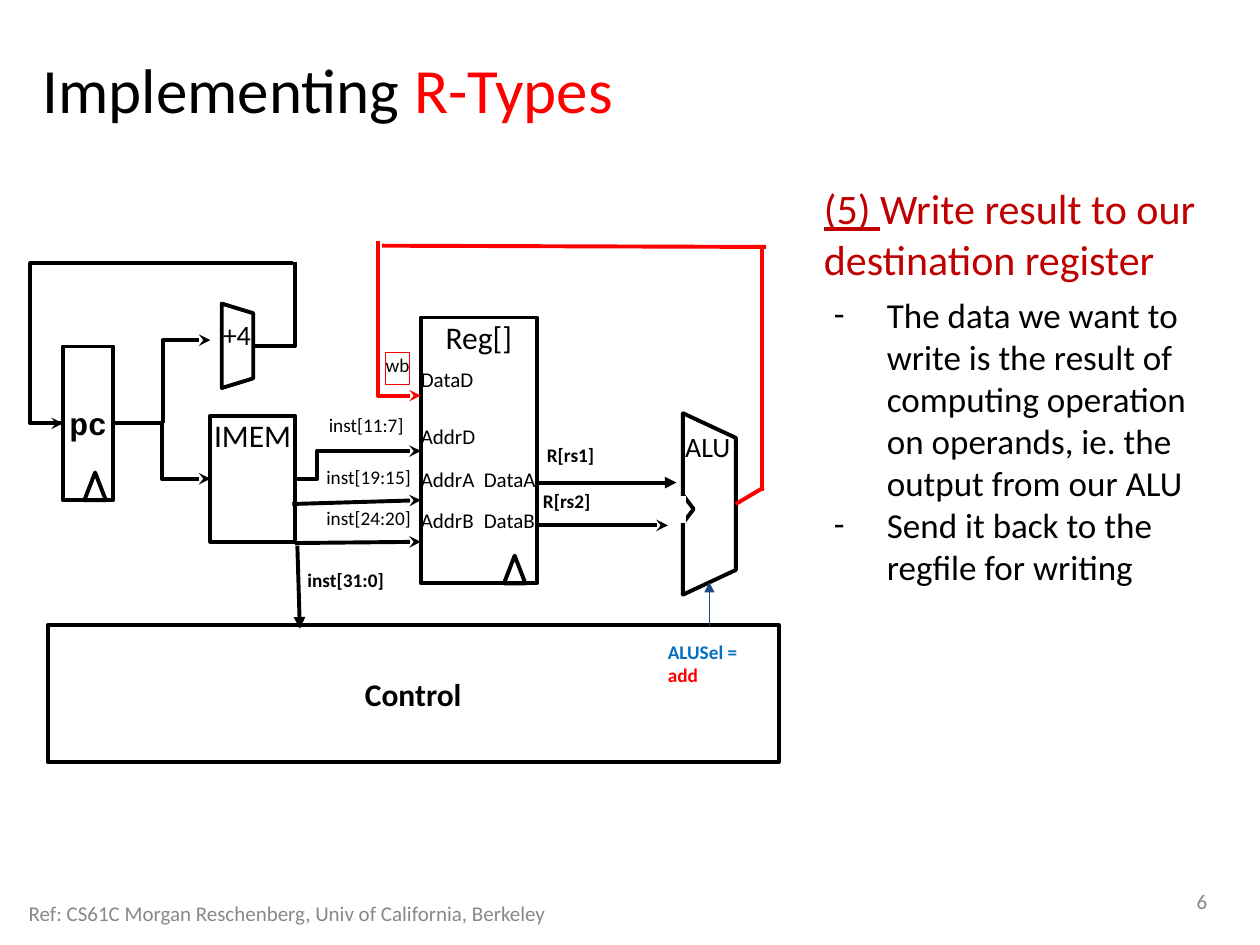
from lxml import etree
from pptx import Presentation
from pptx.dml.color import RGBColor
from pptx.enum.shapes import MSO_CONNECTOR, MSO_SHAPE
from pptx.enum.text import MSO_ANCHOR, PP_ALIGN
from pptx.oxml.ns import qn
from pptx.util import Inches, Pt

RECT, TRAP, TRI = MSO_SHAPE.RECTANGLE, MSO_SHAPE.TRAPEZOID, MSO_SHAPE.ISOSCELES_TRIANGLE
LINE, ELBOW = MSO_CONNECTOR.STRAIGHT, MSO_CONNECTOR.ELBOW
TOP, MID = MSO_ANCHOR.TOP, MSO_ANCHOR.MIDDLE
LEFT, CENTER, RIGHT = PP_ALIGN.LEFT, PP_ALIGN.CENTER, PP_ALIGN.RIGHT

THEME = {
    "font": "Calibri", "mono": "Courier New",
    "ink": "000000", "paper": "FFFFFF", "red": "FF0000", "deep": "C00000",
    "blue": "0070C0", "navy": "1F497D", "gray": "888888",
    "title": 36, "lead": 24, "body": 20, "name": 18, "unit": 16,
    "port": 12, "note": 11, "thick": 2.25, "thin": 0.75,
}
PAD, FLUSH = (0.1, 0.05, 0.1, 0.05), (0, 0, 0, 0)

# Runs are (text, size, colour, extra font values).
TITLE = [("Implementing ", "title", "ink", {}), ("R-Types", "title", "red", {})]
LEAD = [("(5) ", "lead", "deep", {"underline": True}),
        ("Write result to our destination register", "lead", "deep", {})]
STEPS = [
    "The data we want to write is the result of computing operation on operands, "
    "ie. the output from our ALU",
    "Send it back to the regfile for writing",
]

# Shapes are (kind, box, format); texts are (text, box, size, format).
CLOCK = (0.17, 0.22)
PORT = (0.48, 0.27)
UNITS = {
    "IMEM": {"shapes": [(RECT, (1.67, 3.3, 0.67, 1),
                         {"fill": "paper", "text": ("IMEM", "name", {})})]},
    "+4": {"shapes": [(TRAP, (1.55, 2.62, 0.67, 0.25), {"turn": 90, "adj": 0.307})],
           "texts": [("+4", (1.67, 2.52, 0.36, 0.36), "unit", {"pad": (0.1, 0, 0, 0)})]},
    "ALU": {"shapes": [(TRAP, (4.91, 3.79, 1.44, 0.42),
                        {"turn": 90, "adj": 0.466, "fill": "paper"}),
                       (TRI, (5.36, 4, 0.21, 0.08), {"turn": 90})],
            "wires": [((5.42, 3.94), (5.42, 4.15), {"color": "paper", "width": 3})],
            "texts": [("ALU", (5.34, 3.36, 0.6, 0.46), "unit", {"pad": PAD})]},
    "pc": {"shapes": [(RECT, (0.5, 2.75, 0.4, 1.22),
                       {"fill": "paper", "anchor": MID,
                        "text": ("pc", "name", {"bold": True, "name": THEME["mono"]})}),
                      (TRI, (0.67, 3.75, *CLOCK), {})]},
    "Reg": {"shapes": [(RECT, (3.34, 2.52, 0.92, 2.11),
                        {"fill": "paper", "text": ("Reg[]", "name", {})}),
                       (TRI, (4, 4.41, *CLOCK), {})],
            "texts": [(text, (x, y, *PORT), "port", {})
                      for text, x, y in [("DataD", 3.34, 2.91), ("AddrD", 3.34, 3.36),
                                         ("AddrA", 3.34, 3.7), ("AddrB", 3.34, 4.03),
                                         ("DataA", 3.84, 3.7), ("DataB", 3.84, 4.03)]]},
    "Control": {"shapes": [(RECT, (0.38, 4.96, 5.8, 1.09),
                            {"fill": "paper", "anchor": MID,
                             "text": ("Control", "name", {"bold": True})})]},
    "wb": {"shapes": [(RECT, (3.06, 2.8, 0.19, 0.25),
                       {"color": "red", "width": "thin", "wrap": False,
                        "align": LEFT, "text": ("wb", "note", {})})]},
}

# Wires are (from, to, format); bend is the share of the width where an elbow turns.
BARB, TIP, RED = {"tail": "stealth"}, {"tail": "triangle"}, {"color": "red"}
WIRES = [
    ((0.34, 3.36), (0.5, 3.36), {"join": ("pc", 1)}),
    ((0.9, 3.36), (1.67, 3.8), {"bend": 0.5, **BARB}),
    ((1.29, 3.36), (1.67, 2.7), {"bend": 0, **BARB}),
    ((2, 2.75), (2.34, 2.08), {"bend": 1}),
    ((2.33, 2.09), (0.5, 3.36), {"bend": 1.142, **BARB}),
    ((2.34, 3.8), (3.34, 3.58), {"bend": 0.178, **BARB}),
    ((2.32, 4), (3.34, 3.97), BARB),
    ((2.34, 4.31), (3.34, 4.3), BARB),
    ((2.36, 4.33), (2.38, 4.99), TIP),
    ((4.26, 3.83), (5.37, 3.83), TIP),
    ((4.25, 4.17), (5.3, 4.17), BARB),
    ((5.63, 4.97), (5.63, 4.62), {"color": "navy", "width": "thin", **TIP}),
    ((5.84, 4), (6.06, 3.87), RED),
    ((6.05, 1.95), (6.05, 3.9), RED),
    ((3.03, 1.95), (6.08, 1.96), RED),
    ((3, 1.91), (3.34, 3.14), {"bend": 0, **RED, **BARB}),
]
# Labels are (text, left, top, bold).
LABELS = [
    ("inst[11:7]", 2.61, 3.28, False), ("inst[19:15]", 2.59, 3.69, False),
    ("inst[24:20]", 2.59, 4.02, False), ("inst[31:0]", 2.44, 4.51, True),
    ("R[rs1]", 4.34, 3.52, True), ("R[rs2]", 4.31, 3.88, True),
]
SELECT = [("ALUSel = ", "note", "blue", {"bold": True}), ("add", "note", "red", {"bold": True})]
FOOT = "Ref: CS61C Morgan Reschenberg, Univ of California, Berkeley"


def tone(name):
    return RGBColor.from_string(THEME[name])


def put(para, runs):
    for text, size, color, extra in runs:
        run = para.add_run()
        run.text = text
        style = {"name": THEME["font"], "size": Pt(THEME[size]), **extra}
        for key, value in style.items():
            setattr(run.font, key, value)
        run.font.color.rgb = tone(color)


def frame(shape, runs, pad=FLUSH, anchor=TOP, align=LEFT, wrap=True):
    body = shape.text_frame
    sides = ("margin_left", "margin_top", "margin_right", "margin_bottom")
    style = {"word_wrap": wrap, "vertical_anchor": anchor,
             **dict(zip(sides, map(Inches, pad)))}
    for key, value in style.items():
        setattr(body, key, value)
    para = body.paragraphs[0]
    para.alignment = align
    put(para, runs)
    return body


def write(shapes, runs, box, **style):
    return frame(shapes.add_textbox(*map(Inches, box)), runs, **style)


def ink(line, color, width):
    line.color.rgb = tone(color)
    line.width = Pt(THEME.get(width, width))


def draw(shapes, kind, box, fill=None, color="ink", width="thick", turn=0,
         adj=None, text=None, align=CENTER, **style):
    shape = shapes.add_shape(kind, *map(Inches, box))
    shape.shadow.inherit = False
    shape.rotation = turn
    if adj is not None:
        shape.adjustments[0] = adj
    if fill:
        shape.fill.solid()
        shape.fill.fore_color.rgb = tone(fill)
    else:
        shape.fill.background()
    ink(shape.line, color, width)
    if text:
        word, size, extra = text
        frame(shape, [(word, size, "ink", extra)], align=align, **style)
    return shape


def wire(shapes, start, end, color="ink", width="thick", tail=None, bend=None, join=None):
    kind = LINE if bend is None else ELBOW
    link = shapes.add_connector(kind, *map(Inches, start + end))
    ink(link.line, color, width)
    props = link._element.spPr
    if bend is not None:
        guides = props.find(qn("a:prstGeom")).find(qn("a:avLst"))
        etree.SubElement(guides, qn("a:gd"), name="adj1", fmla=f"val {round(bend * 100000)}")
    if tail:
        etree.SubElement(props.find(qn("a:ln")), qn("a:tailEnd"), type=tail)
    etree.SubElement(props, qn("a:effectLst"))
    if join:
        name, side = join
        link.end_connect(bases[name], side)


def indent(para, left, hang=0):
    props = para._p.get_or_add_pPr()
    props.set("marL", str(Inches(left)))
    props.set("indent", str(Inches(hang)))
    return props


def bullet(para):
    props = indent(para, 1, -0.42)
    shade = etree.SubElement(props, qn("a:buClr"))
    etree.SubElement(shade, qn("a:srgbClr"), val=THEME["ink"])
    etree.SubElement(props, qn("a:buFont"), typeface=THEME["font"])
    etree.SubElement(props, qn("a:buChar"), char="-")


deck = Presentation()
deck.slide_width, deck.slide_height = Inches(10), Inches(7.5)
shapes = deck.slides.add_slide(deck.slide_layouts[6]).shapes

head = write(shapes, TITLE, (0.24, 0.16, 9.44, 1.15), pad=PAD, anchor=MID)
head.paragraphs[0].line_spacing = 0.9

bases = {}
for name, unit in UNITS.items():
    parts = sum(map(len, unit.values()))
    home = shapes.add_group_shape().shapes if parts > 1 else shapes
    made = [draw(home, kind, box, **style) for kind, box, style in unit["shapes"]]
    bases[name] = made[0]
    for start, end, style in unit.get("wires", []):
        wire(home, start, end, **style)
    for text, box, size, style in unit.get("texts", []):
        write(home, [(text, size, "ink", {})], box, **style)

for start, end, style in WIRES:
    wire(shapes, start, end, **style)
for text, x, y, bold in LABELS:
    write(shapes, [(text, "note", "ink", {"bold": bold})], (x, y, 0.7, 0.25))
write(shapes, SELECT, (5.3, 5.08, 0.6, 0.25))

body = write(shapes, LEAD, (5.94, 1.4, 3.92, 5.32), pad=PAD)
indent(body.paragraphs[0], 0.5)
for i, step in enumerate(STEPS):
    para = body.add_paragraph()
    para.level = 1
    bullet(para)
    para.space_before = Pt(0 if i else 5.6)
    put(para, [(step, "body", "ink", {})])

for text, box, align in [("6", (7.43, 6.95, 2.25, 0.4), RIGHT),
                         (FOOT, (0.04, 7.05, 4.48, 0.4), CENTER)]:
    write(shapes, [(text, "port", "gray", {})], box, pad=PAD, anchor=MID, align=align)

deck.save("out.pptx")
